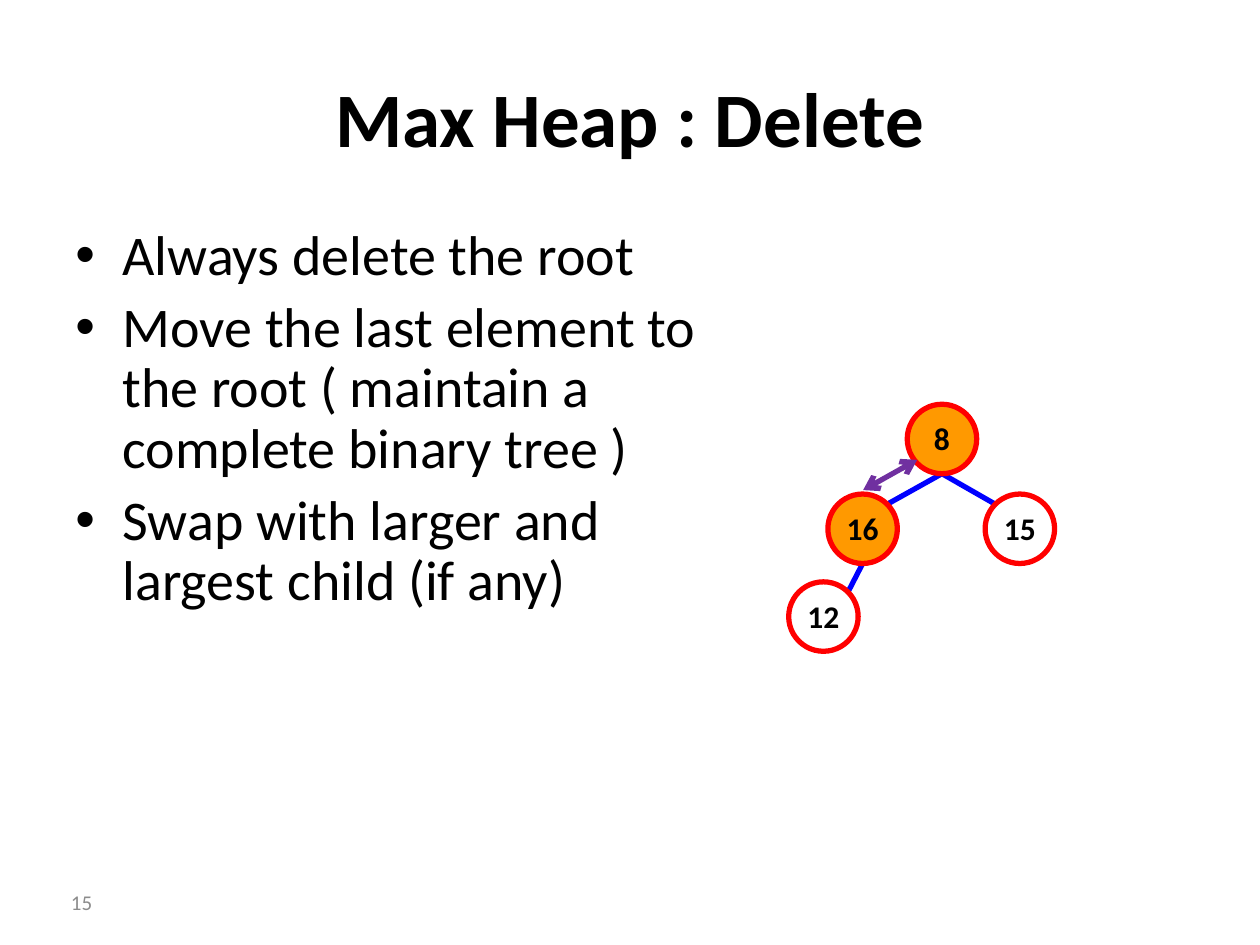
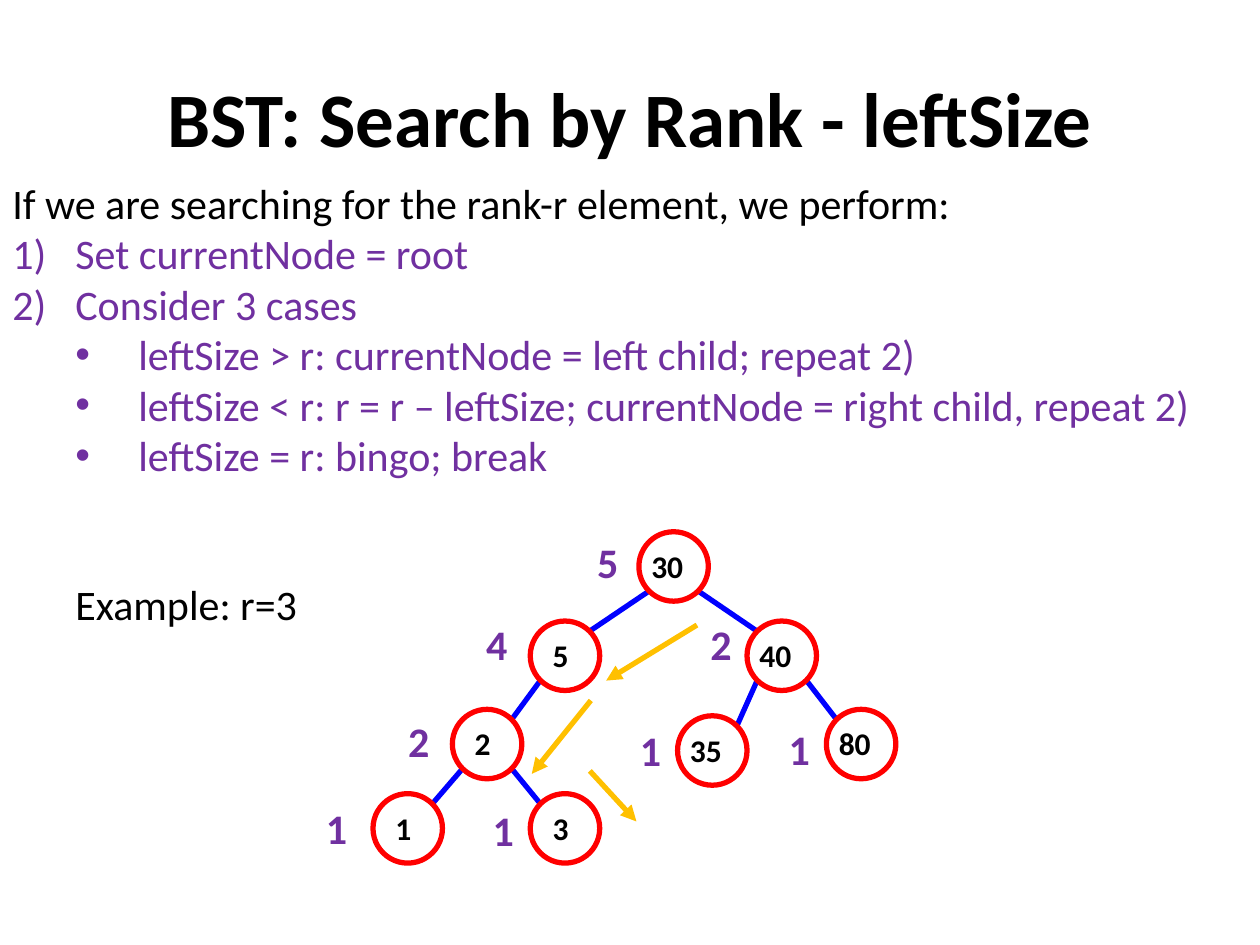
from dataclasses import dataclass
from math import sqrt

from lxml.etree import SubElement
from pptx import Presentation
from pptx.dml.color import RGBColor
from pptx.enum.shapes import MSO_CONNECTOR, MSO_SHAPE
from pptx.enum.text import MSO_ANCHOR, PP_ALIGN
from pptx.oxml.ns import qn
from pptx.util import Cm, Pt


@dataclass(frozen=True)
class Theme:
    """Colours, font and sizes shared by all slides."""
    font: str = "Calibri"
    ink: str = "000000"
    grey: str = "8C8C8C"
    purple: str = "7030A0"
    ring: str = "FF0000"
    edge: str = "0000FF"
    swap: str = "FF9900"
    step: str = "FFC000"
    title: int = 44
    body: int = 32
    text: int = 24
    node: int = 18
    number: int = 12
    line: int = 3
    radius: float = 0.7


def write(p, text, theme, size, color=None, bold=False, align=PP_ALIGN.LEFT,
          spacing=None, before=0, bullet=None, margin=0, hang=0):
    """Fill one paragraph with formatted text; bullet is a sign or 'auto'."""
    p.alignment = align
    p.space_before = Pt(before)
    if spacing:
        p.line_spacing = spacing
    r = p.add_run()
    r.text = text
    r.font.name = theme.font
    r.font.size = Pt(size)
    r.font.bold = bold
    r.font.color.rgb = RGBColor.from_string(color or theme.ink)
    if bullet:
        props = p._p.get_or_add_pPr()
        props.set("marL", str(int(Cm(margin))))
        props.set("indent", str(-int(Cm(hang))))
        if bullet == "auto":
            SubElement(props, qn("a:buFont"), typeface="+mj-lt")
            SubElement(props, qn("a:buAutoNum"), type="arabicParenR")
        else:
            SubElement(props, qn("a:buFont"), typeface="Arial")
            SubElement(props, qn("a:buChar"), char=bullet)


class Deck:
    """Holds the presentation, its style and the current slide."""

    def __init__(self, theme):
        """Start an empty 4:3 presentation."""
        self.theme = theme
        self.prs = Presentation()
        self.prs.slide_width, self.prs.slide_height = Cm(25.4), Cm(19.05)

    def slide(self, title):
        """Add a slide with a bold centred title."""
        self.s = self.prs.slides.add_slide(self.prs.slide_layouts[5])
        sp = self.s.shapes.title
        sp.left, sp.top, sp.width, sp.height = Cm(1.27), Cm(0.76), Cm(22.86), Cm(3.18)
        sp.text_frame.vertical_anchor = MSO_ANCHOR.MIDDLE
        write(sp.text_frame.paragraphs[0], title, self.theme, self.theme.title,
              bold=True, align=PP_ALIGN.CENTER)

    def text(self, x, y, w, h, lines, shapes=None, anchor=MSO_ANCHOR.TOP,
             inset=0.13, **fmt):
        """Add a text box; each line is a (text, own format) pair."""
        sp = (shapes or self.s.shapes).add_textbox(Cm(x), Cm(y), Cm(w), Cm(h))
        tf = sp.text_frame
        tf.word_wrap = True
        tf.vertical_anchor = anchor
        tf.margin_top = tf.margin_bottom = Cm(inset)
        for i, (line, own) in enumerate(lines):
            p = tf.add_paragraph() if i else tf.paragraphs[0]
            write(p, line, self.theme, **{**fmt, **own})

    def line(self, start, end, color, head=None, tail=None):
        """Draw a straight line with optional arrowheads."""
        points = [Cm(v) for v in (*start, *end)]
        c = self.s.shapes.add_connector(MSO_CONNECTOR.STRAIGHT, *points)
        c.line.width = Pt(self.theme.line)
        c.line.color.rgb = RGBColor.from_string(color)
        props = c._element.spPr
        ln = props.find(qn("a:ln"))
        for tag, kind in (("a:headEnd", head), ("a:tailEnd", tail)):
            if kind:
                SubElement(ln, qn(tag), type=kind)
        SubElement(props, qn("a:effectLst"))

    def edge(self, parent, child, from_bottom=False):
        """Join two node centres from ring to ring."""
        (px, py), (cx, cy) = parent, child
        corner = self.theme.radius / sqrt(2)
        side = corner if cx > px else -corner
        start = (px, py + self.theme.radius) if from_bottom else (px + side, py + corner)
        self.line(start, (cx - side, cy - corner), self.theme.edge)

    def node(self, label, center, fill=None, align=PP_ALIGN.CENTER, shift=0):
        """Draw a ringed tree node, grouped with its label."""
        t = self.theme
        x, y = (v - t.radius for v in center)
        shapes = self.s.shapes.add_group_shape().shapes
        sp = shapes.add_shape(MSO_SHAPE.OVAL, Cm(x), Cm(y),
                              Cm(2 * t.radius), Cm(2 * t.radius))
        sp.shadow.inherit = False
        if fill:
            sp.fill.solid()
            sp.fill.fore_color.rgb = RGBColor.from_string(fill)
        else:
            sp.fill.background()
        sp.line.width = Pt(t.line)
        sp.line.color.rgb = RGBColor.from_string(t.ring)
        self.text(x + shift, y - 0.08, 2 * t.radius, 1.68, [(label, {})], shapes,
                  inset=0.38, size=t.node, bold=True, align=align)

    def page_number(self, number):
        """Put the page number at the lower left."""
        self.text(0.76, 17.68, 1.35, 1.02, [(number, {})], anchor=MSO_ANCHOR.MIDDLE,
                  size=self.theme.number, color=self.theme.grey, align=PP_ALIGN.RIGHT)


def heap_slide(deck):
    """Deleting the root of a max heap."""
    t = deck.theme
    deck.slide("Max Heap : Delete")
    steps = ["Always delete the root",
             "Move the last element to the root ( maintain a complete binary tree )",
             "Swap with larger and largest child (if any)"]
    deck.text(1.27, 4.45, 14.02, 12.57, [(step, {}) for step in steps], size=t.body,
              spacing=0.9, before=6.4, bullet="•", margin=0.95, hang=0.95)
    heap = {"8": (18.99, 8.85), "16": (17.39, 10.66),
            "15": (20.56, 10.66), "12": (16.6, 12.43)}
    for parent, child in (("8", "16"), ("8", "15"), ("16", "12")):
        deck.edge(heap[parent], heap[child], from_bottom=True)
    for label, center in heap.items():
        deck.node(label, center, fill=t.swap if label in ("8", "16") else None)
    deck.line((17.4, 9.88), (18.49, 9.27), t.purple, head="arrow", tail="arrow")
    deck.page_number("15")


def rank_slide(deck):
    """Searching a binary search tree by rank."""
    t = deck.theme
    deck.slide("BST: Search by Rank - leftSize")
    # label: (node centre, leftSize, corner of the leftSize box)
    tree = {"30": ((13.58, 11.42), "5", (11.79, 10.69)),
            "5": ((11.39, 13.22), "4", (9.55, 12.34)),
            "40": ((15.76, 13.22), "2", (14.07, 12.34)),
            "2": ((9.82, 15), "2", (7.98, 14.3)),
            "35": ((14.36, 15.13), "1", (12.65, 14.48)),
            "80": ((17.36, 15), "1", (15.65, 14.45)),
            "1": ((8.22, 16.7), "1", (6.32, 16.05)),
            "3": ((11.39, 16.7), "1", (9.68, 16.08))}
    children = {"30": ("5", "40"), "5": ("2",), "40": ("35", "80"), "2": ("1", "3")}
    for parent, kids in children.items():
        for kid in kids:
            deck.edge(tree[parent][0], tree[kid][0])
    for label, (center, left_size, corner) in tree.items():
        deck.node(label, center, align=PP_ALIGN.LEFT, shift=0.2 if len(label) == 1 else 0)
        deck.text(*corner, 1.02, 1.27, [(left_size, {})], size=t.text,
                  color=t.purple, bold=True)
    step = dict(color=t.purple, bullet="auto", margin=1.27, hang=1.27)
    case = dict(step, bullet="•", margin=2.54)
    deck.text(0, 3.45, 25.4, 6.4, [
        ("If we are searching for the rank-r element, we perform:", {}),
        ("Set currentNode = root", step),
        ("Consider 3 cases", step),
        ("leftSize > r: currentNode = left child; repeat 2)", case),
        ("leftSize < r: r = r – leftSize; currentNode = right child, repeat 2)", case),
        ("leftSize = r: bingo; break", case)], size=t.text)
    deck.text(1.27, 11.53, 5.05, 1.27, [("Example: r=3", {})], size=t.text)
    for start, end in (((14.05, 12.6), (12.22, 13.72)),
                       ((11.91, 14.12), (10.72, 15.6)),
                       ((11.89, 15.54), (12.83, 16.56))):
        deck.line(start, end, t.step, tail="triangle")


deck = Deck(Theme())
heap_slide(deck)
rank_slide(deck)
deck.prs.save("out.pptx")
